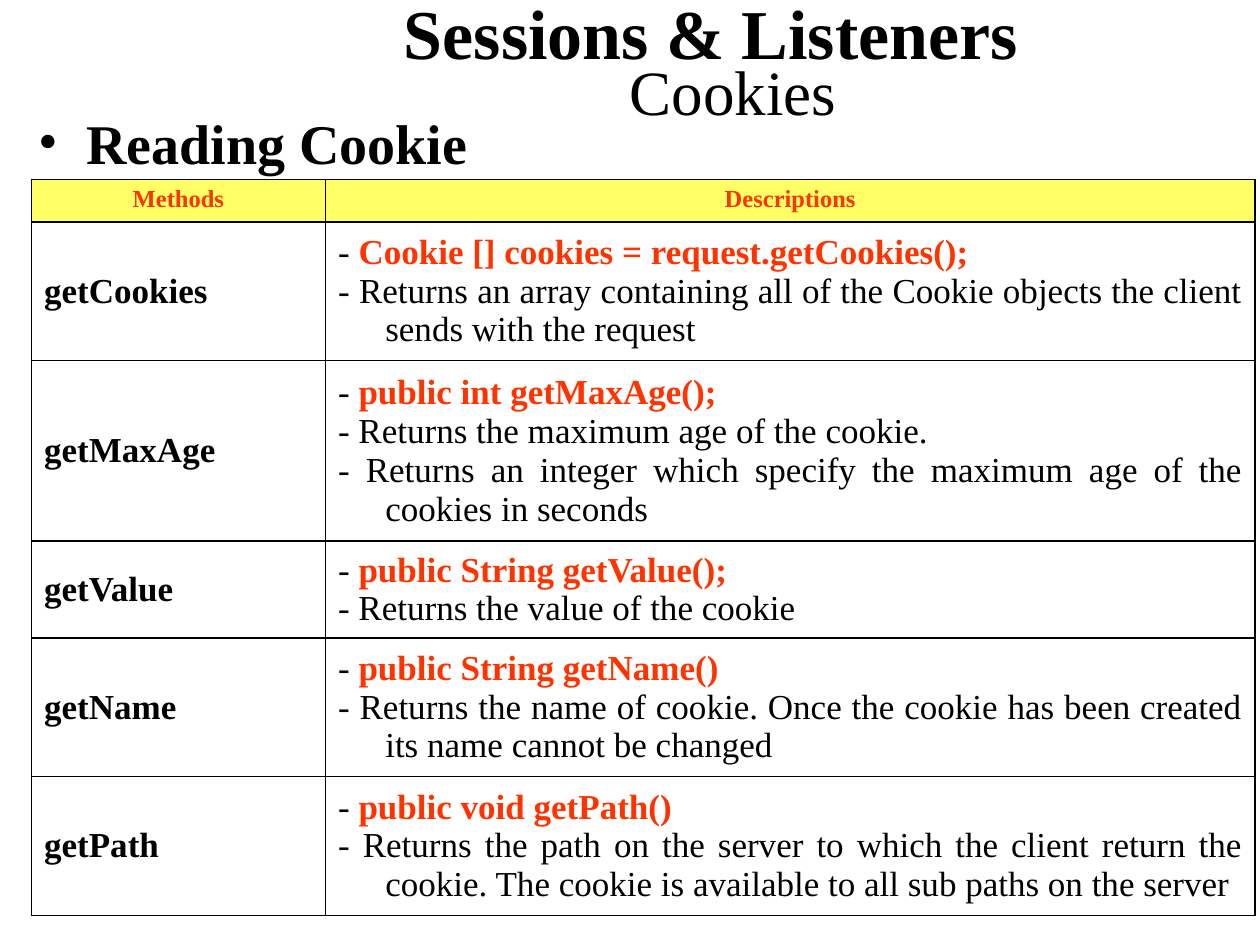
from dataclasses import dataclass

from lxml import etree
from pptx import Presentation
from pptx.dml.color import RGBColor
from pptx.enum import text
from pptx.oxml import ns
from pptx.util import Pt

FONT = "Times New Roman"
BLACK = "000000"
RED = "FF3300"
YELLOW = "FFFF66"
HANGING = 27


@dataclass
class Method:
    name: str
    signature: str
    descriptions: list[str]
    height: float


METHODS = [
    Method("getCookies", "Cookie [] cookies = request.getCookies();",
           ["Returns an array containing all of the Cookie objects the client "
            "sends with the request"], 79.2),
    Method("getMaxAge", "public int getMaxAge();",
           ["Returns the maximum age of the cookie.",
            "Returns an integer which specify the maximum age of the cookies "
            "in seconds"], 103),
    Method("getValue", "public String getValue();",
           ["Returns the value of the cookie"], 55.2),
    Method("getName", "public String getName()",
           ["Returns the name of cookie. Once the cookie has been created its "
            "name cannot be changed"], 79.2),
    Method("getPath", "public void getPath()",
           ["Returns the path on the server to which the client return the "
            "cookie. The cookie is available to all sub paths on the server"], 79.2),
]


def set_font(font, size: float, color: str = BLACK, bold: bool = False) -> None:
    font.name = FONT
    font.size = Pt(size)
    font.bold = bold
    font.color.rgb = RGBColor.from_string(color)


def add_run(paragraph, words: str, size: float, color: str = BLACK, bold: bool = False) -> None:
    run = paragraph.add_run()
    run.text = words
    set_font(run.font, size, color, bold)


def set_hanging(paragraph) -> None:
    properties = paragraph._p.get_or_add_pPr()
    properties.set("marL", str(Pt(HANGING)))
    properties.set("indent", str(-Pt(HANGING)))


def add_title(slide) -> None:
    title = slide.shapes.title
    title.left, title.top, title.width, title.height = Pt(104.4), Pt(5), Pt(615.6), Pt(73.4)
    frame = title.text_frame
    frame.word_wrap = True
    frame.auto_size = text.MSO_AUTO_SIZE.NONE
    frame.vertical_anchor = text.MSO_ANCHOR.MIDDLE
    paragraph = frame.paragraphs[0]
    paragraph.alignment = text.PP_ALIGN.CENTER
    paragraph.line_spacing = 0.5
    add_run(paragraph, "Sessions & Listeners", 40, bold=True)
    add_run(paragraph, " ", 48, bold=True)
    paragraph.add_line_break()
    add_run(paragraph, " ", 54, bold=True)
    add_run(paragraph, "Cookies", 36)


def add_heading(slide) -> None:
    heading = slide.shapes.add_textbox(Pt(15.2), Pt(58.3), Pt(704.8), Pt(46))
    frame = heading.text_frame
    frame.word_wrap = True
    paragraph = frame.paragraphs[0]
    paragraph.text = "Reading Cookie"
    paragraph.alignment = text.PP_ALIGN.JUSTIFY
    set_hanging(paragraph)
    properties = paragraph._p.get_or_add_pPr()
    etree.SubElement(properties, ns.qn("a:buFont"), typeface=FONT)
    etree.SubElement(properties, ns.qn("a:buChar"), char="•")
    set_font(paragraph.font, 32, bold=True)


def add_borders(cell) -> None:
    properties = cell._tc.get_or_add_tcPr()
    for side in ("lnL", "lnR", "lnT", "lnB"):
        line = etree.SubElement(properties, ns.qn(f"a:{side}"), w=str(Pt(1)))
        fill = etree.SubElement(line, ns.qn("a:solidFill"))
        etree.SubElement(fill, ns.qn("a:srgbClr"), val=BLACK)


def format_cell(cell, fill: str | None = None) -> None:
    add_borders(cell)
    if fill:
        cell.fill.solid()
        cell.fill.fore_color.rgb = RGBColor.from_string(fill)
    else:
        cell.fill.background()
        cell.vertical_anchor = text.MSO_ANCHOR.MIDDLE


def fill_label(cell, words: str, size: float, color: str, alignment) -> None:
    paragraph = cell.text_frame.paragraphs[0]
    paragraph.text = words
    paragraph.alignment = alignment
    set_hanging(paragraph)
    set_font(paragraph.font, size, color, True)


def fill_description(cell, method: Method) -> None:
    frame = cell.text_frame
    signature = frame.paragraphs[0]
    add_run(signature, "- ", 20)
    add_run(signature, method.signature, 20, RED, True)
    for description in method.descriptions:
        paragraph = frame.add_paragraph()
        paragraph.text = f"- {description}"
        set_font(paragraph.font, 20)
    for paragraph in frame.paragraphs:
        paragraph.alignment = text.PP_ALIGN.JUSTIFY
        set_hanging(paragraph)


def add_methods_table(slide) -> None:
    heights = [24] + [method.height for method in METHODS]
    widths = [168, 531.2]
    table = slide.shapes.add_table(len(heights), len(widths), Pt(18), Pt(102.7),
                                   Pt(sum(widths)), Pt(sum(heights))).table
    table.horz_banding = False
    table.first_row = False
    for column, width in zip(table.columns, widths):
        column.width = Pt(width)
    for row, height in zip(table.rows, heights):
        row.height = Pt(height)
    for column, words in enumerate(("Methods", "Descriptions")):
        cell = table.cell(0, column)
        format_cell(cell, YELLOW)
        fill_label(cell, words, 14, RED, text.PP_ALIGN.CENTER)
    for row, method in enumerate(METHODS, start=1):
        name, description = table.cell(row, 0), table.cell(row, 1)
        format_cell(name)
        format_cell(description)
        fill_label(name, method.name, 20, BLACK, text.PP_ALIGN.LEFT)
        fill_description(description, method)


def main() -> None:
    presentation = Presentation()
    presentation.slide_width = Pt(720)
    presentation.slide_height = Pt(540)
    slide = presentation.slides.add_slide(presentation.slide_layouts[5])
    add_title(slide)
    add_heading(slide)
    add_methods_table(slide)
    presentation.save("out.pptx")


if __name__ == "__main__":
    main()
